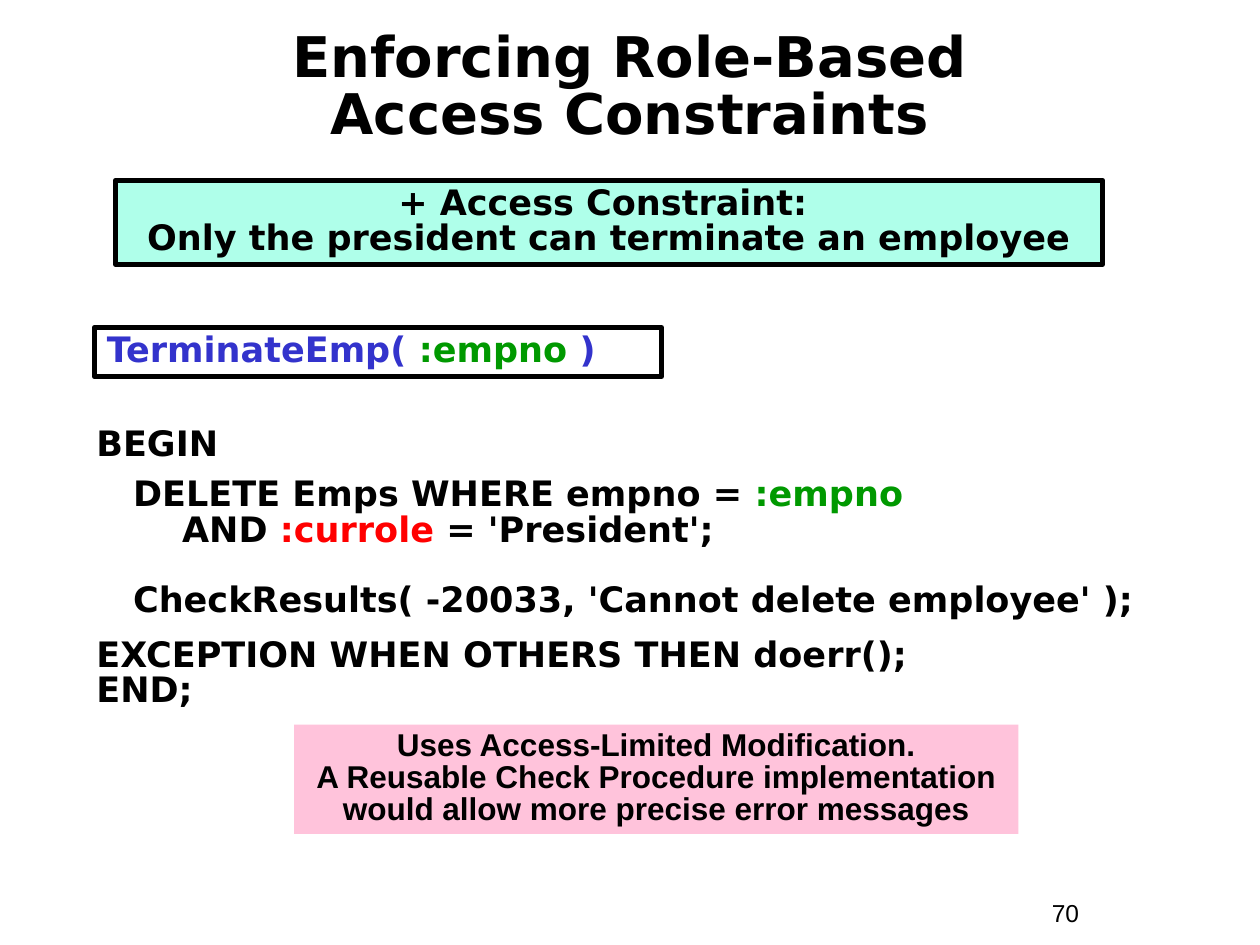
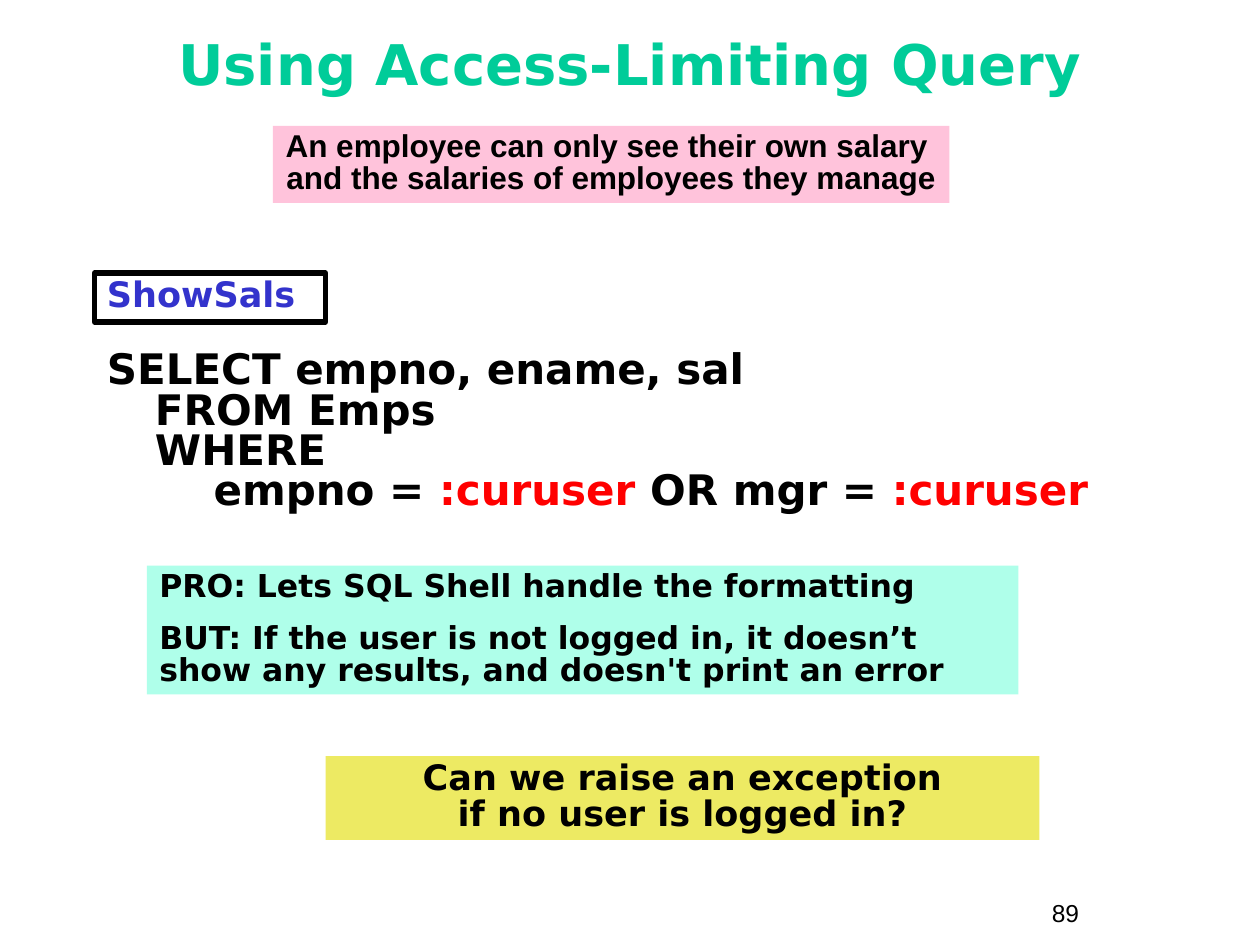
from pptx import Presentation
from pptx.dml.color import RGBColor
from pptx.enum.shapes import MSO_SHAPE as Shape
from pptx.enum.text import MSO_ANCHOR as Anchor, MSO_AUTO_SIZE as AutoSize, PP_ALIGN as Align
from pptx.util import Pt

# Shared style
SANS, ARIAL = "DejaVu Sans", "Arial"
BLACK, BLUE, GREEN, RED, TEAL = "000000", "3333CC", "009900", "FF0000", "00CC99"
MINT, PINK, YELLOW = "AFFFEA", "FFC3DB", "EDEA63"
TITLE_LEFT, TITLE_WIDTH = 24, 672
PAGE_NUMBER_AREA = (594, 509.75, 66, 24.5)
BORDER_WIDTH = 3
LINE_SPACING = 0.85


def line(*runs, indent=0, before=0):
    """One line of text: runs are strings (black) or (text, colour) pairs."""
    pairs = [(run, BLACK) if isinstance(run, str) else run for run in runs]
    return {"runs": pairs, "indent": indent, "before": before}


# Content: areas are left, top, width, height in points
slides = [
    {
        "page": "70",
        "title": {"top": 18, "height": 66,
                  "lines": [line("Enforcing Role-Based"), line("Access Constraints")]},
        "boxes": [
            {"area": (66, 103, 564, 48), "fill": MINT, "border": True, "align": Align.CENTER,
             "lines": [line("+ Access Constraint: "),
                       line("Only the president can terminate an employee")]},
            {"area": (54, 187.2, 324, 28), "border": True,
             "lines": [line(("TerminateEmp( ", BLUE), (":empno ", GREEN), (")", BLUE))]},
            {"area": (168, 414, 414, 62.5), "fill": PINK, "align": Align.CENTER,
             "font": ARIAL, "size": 18,
             "lines": [line("Uses Access-Limited Modification."),
                       line("A Reusable Check Procedure implementation"),
                       line("would allow more precise error messages")]},
        ],
        "code": {"area": (48, 241.2, 612, 169), "lines": [
            line("BEGIN"),
            line("DELETE Emps WHERE empno = ", (":empno", GREEN), indent=21, before=8),
            line("AND ", (":currole", RED), " = 'President';", indent=49),
            line("CheckResults( -20033, 'Cannot delete employee' );", indent=21, before=20),
            line("EXCEPTION WHEN OTHERS THEN doerr();", before=10.5),
            line("END;"),
        ]},
    },
    {
        "page": "89",
        "title": {"top": 12, "height": 54,
                  "lines": [line(("Using Access-Limiting Query", TEAL))]},
        "boxes": [
            {"area": (156, 72, 386.5, 44), "fill": PINK, "align": Align.CENTER,
             "font": ARIAL, "size": 18, "wrap": False,
             "lines": [line("An employee can only see their own salary "),
                       line("and the salaries of employees they manage")]},
            {"area": (54, 156, 132, 28), "border": True, "lines": [line(("ShowSals", BLUE))]},
            {"area": (84, 323.25, 498, 73.5), "fill": MINT, "size": 18,
             "lines": [line("PRO: Lets SQL Shell handle the formatting"),
                       line("BUT: If the user is not logged in, it doesn’t show any results, "
                            "and doesn't print an error", before=11.2)]},
            {"area": (186, 432, 408, 48), "fill": YELLOW, "align": Align.CENTER,
             "lines": [line("Can we raise an exception"), line("if no user is logged in?")]},
        ],
        "code": {"area": (54, 198, 612, 156), "size": 24, "spacing": 0.8, "lines": [
            line("SELECT empno, ename, sal"),
            line("FROM Emps", indent=27.5),
            line("WHERE", indent=27.5),
            line("empno = ", (":curuser", RED), " OR mgr = ", (":curuser", RED), indent=61),
        ]},
    },
]


def rgb(hex_colour):
    return RGBColor.from_string(hex_colour)


def write(shape, lines, size=20, font=SANS, bold=True, align=Align.LEFT,
          spacing=LINE_SPACING, anchor=Anchor.TOP, wrap=True):
    frame = shape.text_frame
    frame.auto_size = AutoSize.NONE
    frame.word_wrap = wrap
    frame.vertical_anchor = anchor
    frame.margin_left = frame.margin_right = Pt(7.2)
    frame.margin_top = frame.margin_bottom = Pt(3.6)
    for number, content in enumerate(lines):
        paragraph = frame.add_paragraph() if number else frame.paragraphs[0]
        paragraph.alignment = align
        paragraph.line_spacing = spacing
        paragraph.space_before = Pt(content["before"])
        if content["indent"]:
            paragraph._p.get_or_add_pPr().set("marL", str(Pt(content["indent"])))
        for text, colour in content["runs"]:
            run = paragraph.add_run()
            run.text = text
            run.font.name, run.font.size, run.font.bold = font, Pt(size), bold
            run.font.color.rgb = rgb(colour)


def add_title(slide, top, height, lines):
    title = slide.shapes.title
    title.left, title.top = Pt(TITLE_LEFT), Pt(top)
    title.width, title.height = Pt(TITLE_WIDTH), Pt(height)
    write(title, lines, size=32, align=Align.CENTER, anchor=Anchor.MIDDLE)


def add_text(slide, area, lines, **style):
    write(slide.shapes.add_textbox(*map(Pt, area)), lines, **style)


def add_box(slide, area, lines, fill=None, border=False, **style):
    box = slide.shapes.add_shape(Shape.RECTANGLE, *map(Pt, area))
    box.shadow.inherit = False
    if fill:
        box.fill.solid()
        box.fill.fore_color.rgb = rgb(fill)
    else:
        box.fill.background()
    if border:
        box.line.color.rgb = rgb(BLACK)
        box.line.width = Pt(BORDER_WIDTH)
    else:
        box.line.fill.background()
    write(box, lines, **style)


def main():
    deck = Presentation()
    deck.slide_width, deck.slide_height = Pt(720), Pt(540)
    title_only = deck.slide_layouts[5]
    for content in slides:
        slide = deck.slides.add_slide(title_only)
        add_title(slide, **content["title"])
        for box in content["boxes"]:
            add_box(slide, **box)
        add_text(slide, **content["code"])
        # Page number
        add_text(slide, PAGE_NUMBER_AREA, [line(content["page"])],
                 size=14, font=ARIAL, bold=False, spacing=1.0)
    deck.save("out.pptx")


if __name__ == "__main__":
    main()
